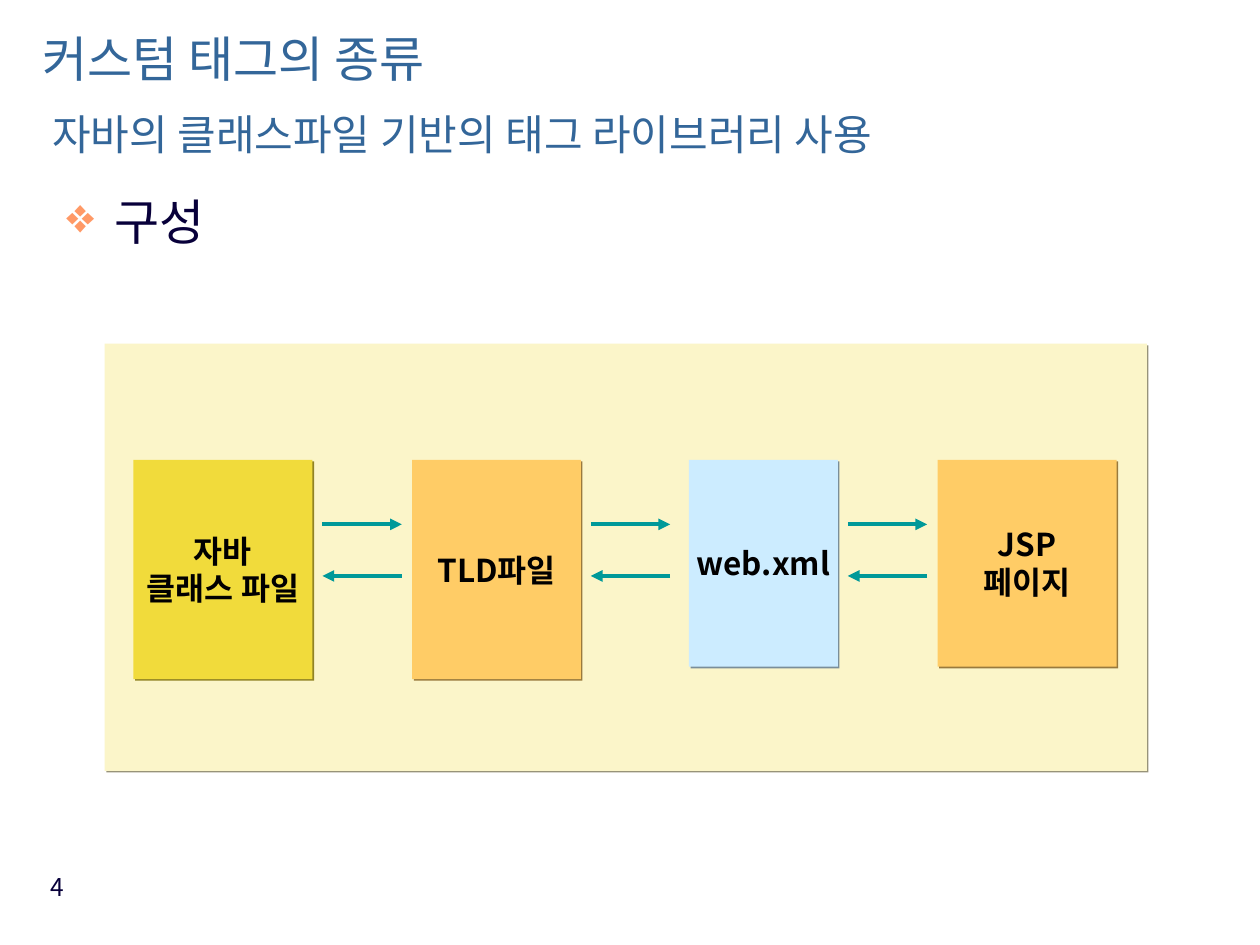
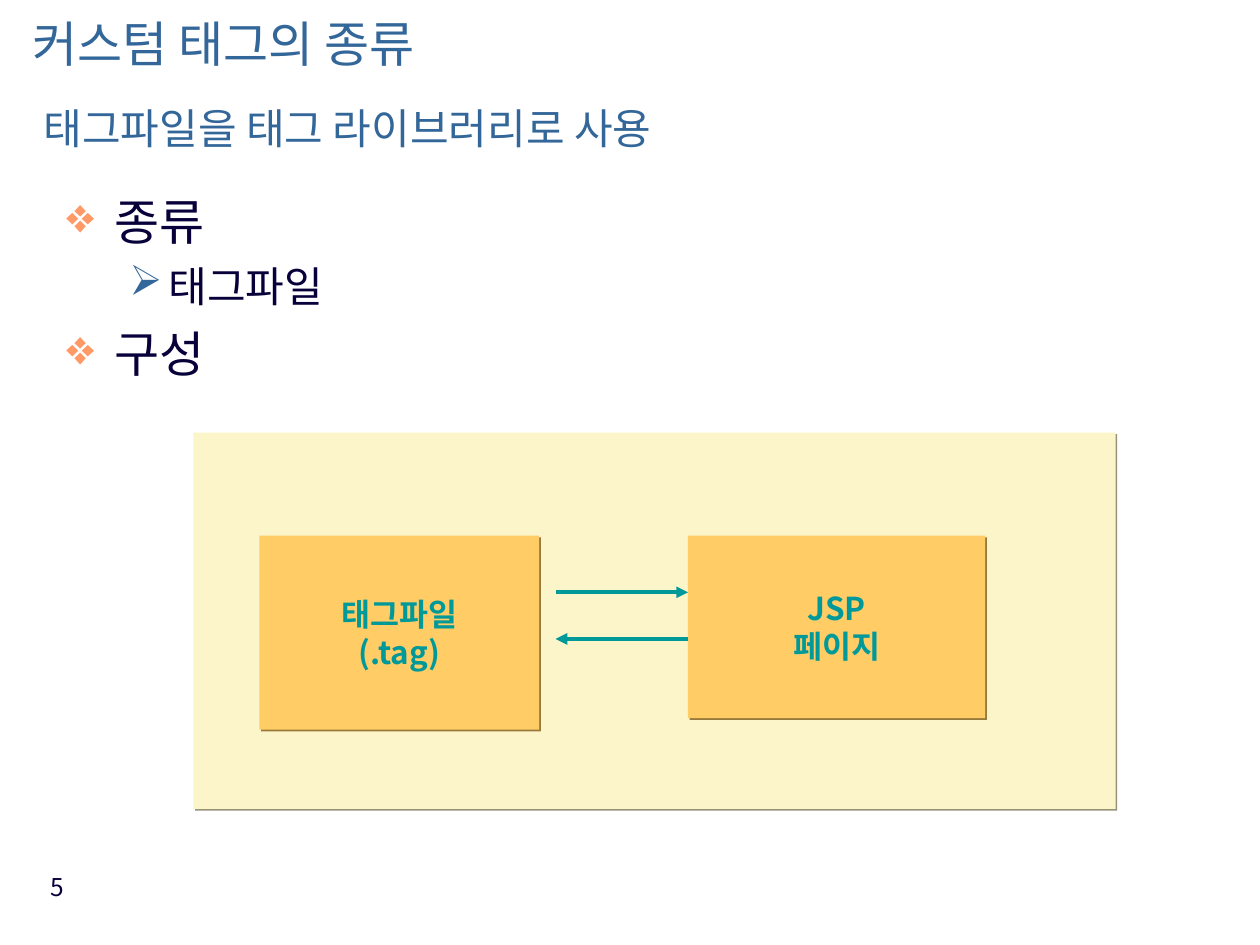
import pptx
import pptx.util
import pptx.dml.color
import pptx.enum.shapes
import pptx.enum.text
import pptx.oxml.ns
from lxml import etree

Cm, Pt = pptx.util.Cm, pptx.util.Pt
RGBColor = pptx.dml.color.RGBColor
Align = pptx.enum.text.PP_ALIGN
Anchor = pptx.enum.text.MSO_ANCHOR
qn = pptx.oxml.ns.qn

FONT = "Noto Sans CJK KR"
BLUE = RGBColor(0x33, 0x66, 0x99)
INK = RGBColor(0x08, 0x00, 0x3A)
BLACK = RGBColor(0x01, 0x00, 0x00)
TEAL = RGBColor(0x00, 0x99, 0x99)
CORAL = RGBColor(0xFF, 0x99, 0x66)
CREAM = RGBColor(0xFB, 0xF5, 0xC9)
ORANGE = RGBColor(0xFF, 0xCC, 0x66)
YELLOW = RGBColor(0xF1, 0xDB, 0x3B)
SKY = RGBColor(0xCC, 0xEC, 0xFF)

TITLE = "커스텀 태그의 종류"
# Lengths are in centimetres, text sizes and paragraph gaps in points.
PAGES = [
    dict(number="4", subtitle="자바의 클래스파일 기반의 태그 라이브러리 사용",
         title_at=(0.61, 0.45, 20.3, 2.9), subtitle_gap=12, subtitle_indent=0.19,
         bullets=[(0, "구성")], bullets_height=2.18,
         panel=(2.11, 6.93, 21.01, 8.61), box_top=9.27, label_color=BLACK,
         boxes=[(["자바", "클래스 파일"], 2.69, 3.61, 4.42, YELLOW),
                (["TLD파일"], 8.31, 3.4, 4.42, ORANGE),
                (["web.xml"], 13.89, 3, 4.17, SKY),
                (["JSP", "페이지"], 18.9, 3.61, 4.17, ORANGE)],
         arrow_gap=0.2, arrow_length=1.6, arrow_rows=(10.57, 11.61)),
    dict(number="5", subtitle="태그파일을 태그 라이브러리로 사용",
         title_at=(0.41, 0.14, 17.5, 2.9), subtitle_gap=17.5, subtitle_indent=0.22,
         bullets=[(0, "종류"), (1, "태그파일"), (0, "구성")], bullets_height=5.33,
         panel=(3.9, 8.72, 18.59, 7.59), box_top=10.8, label_color=TEAL,
         boxes=[(["태그파일", "(.tag)"], 5.23, 5.64, 3.91, ORANGE),
                (["JSP", "페이지"], 13.87, 5.99, 3.68, ORANGE)],
         arrow_gap=0.33, arrow_length=2.67, arrow_rows=(11.94, 12.88)),
]

# Per bullet level: symbol, symbol colour, text size, gap before, margin, hanging
BULLET_LEVELS = [("❖", CORAL, 28, 7, 0.97, 0.97), ("➢", BLUE, 24, 6, 2.06, 0.79)]


def add_para(frame, text, size, color, bold=False, align=None, gap=0, margin=0, hanging=0):
    """Fill the frame's empty first paragraph, or append another."""
    para = frame.paragraphs[0]
    if para.runs:
        para = frame.add_paragraph()
    para.alignment = align
    para.line_spacing = Pt(size * 1.2)
    para.space_before = Pt(gap)
    properties = para._p.get_or_add_pPr()
    properties.set("marL", str(Cm(margin)))
    properties.set("indent", str(-Cm(hanging)))
    span = para.add_run()
    span.text = text
    span.font.name = FONT
    span.font.size = Pt(size)
    span.font.bold = bold
    span.font.color.rgb = color
    etree.SubElement(span._r.get_or_add_rPr(), qn("a:ea"), typeface=FONT)
    return para


def add_text_frame(page, left, top, width, height):
    box = page.shapes.add_textbox(Cm(left), Cm(top), Cm(width), Cm(height))
    box.text_frame.word_wrap = True
    return box.text_frame


def add_bullet(frame, level, text):
    symbol, color, size, gap, margin, hanging = BULLET_LEVELS[level]
    para = add_para(frame, text, size, INK, gap=gap, margin=margin, hanging=hanging)
    para.level = level
    properties = para._p.get_or_add_pPr()
    bullet_color = etree.SubElement(properties, qn("a:buClr"))
    etree.SubElement(bullet_color, qn("a:srgbClr"), val=str(color))
    etree.SubElement(properties, qn("a:buChar"), char=symbol)


def add_block(group, left, top, width, height, fill):
    """Add a rectangle with a hard shadow in a darker tone of its fill."""
    block = group.shapes.add_shape(pptx.enum.shapes.MSO_SHAPE.RECTANGLE,
                                   Cm(left), Cm(top), Cm(width), Cm(height))
    block.fill.solid()
    block.fill.fore_color.rgb = fill
    block.line.fill.background()
    block.shadow.inherit = False
    effects = block._element.spPr.find(qn("a:effectLst"))
    shadow = etree.SubElement(effects, qn("a:outerShdw"), dist=str(Pt(1.4)),
                              dir="2700000", algn="ctr", rotWithShape="0")
    dark = RGBColor(*(round(channel * 0.6) for channel in fill))
    etree.SubElement(shadow, qn("a:srgbClr"), val=str(dark))
    return block


def add_arrow(group, start, end, row):
    arrow = group.shapes.add_connector(pptx.enum.shapes.MSO_CONNECTOR.STRAIGHT,
                                       Cm(start), Cm(row), Cm(end), Cm(row))
    arrow.line.color.rgb = TEAL
    arrow.line.width = Pt(2.25)
    etree.SubElement(arrow.line._get_or_add_ln(), qn("a:tailEnd"), type="triangle")
    etree.SubElement(arrow._element.spPr, qn("a:effectLst"))


def add_diagram(page, content):
    group = page.shapes.add_group_shape()
    add_block(group, *content["panel"], CREAM)
    for labels, left, width, height, fill in content["boxes"]:
        block = add_block(group, left, content["box_top"], width, height, fill)
        frame = block.text_frame
        frame.word_wrap = False
        frame.vertical_anchor = Anchor.MIDDLE
        for label in labels:
            add_para(frame, label, 18, content["label_color"], bold=True, align=Align.CENTER)
    forth, back = content["arrow_rows"]
    for _, left, width, _, _ in content["boxes"][:-1]:
        start = left + width + content["arrow_gap"]
        end = start + content["arrow_length"]
        add_arrow(group, start, end, forth)
        add_arrow(group, end, start, back)


def add_page(deck, content):
    page = deck.slides.add_slide(deck.slide_layouts[6])
    number = add_text_frame(page, 0.36, 17.45, 1.19, 1.32)
    add_para(number, content["number"], 14, INK, align=Align.RIGHT)

    heading = add_text_frame(page, *content["title_at"])
    add_para(heading, TITLE, 28, BLUE)
    add_para(heading, content["subtitle"], 24, BLUE,
             gap=content["subtitle_gap"], margin=content["subtitle_indent"])

    body = add_text_frame(page, 1.09, 3.73, 23.67, content["bullets_height"])
    for level, text in content["bullets"]:
        add_bullet(body, level, text)
    add_diagram(page, content)


def main():
    deck = pptx.Presentation()
    deck.slide_width, deck.slide_height = Cm(25.4), Cm(19.05)
    for content in PAGES:
        add_page(deck, content)
    deck.save("out.pptx")


if __name__ == "__main__":
    main()
